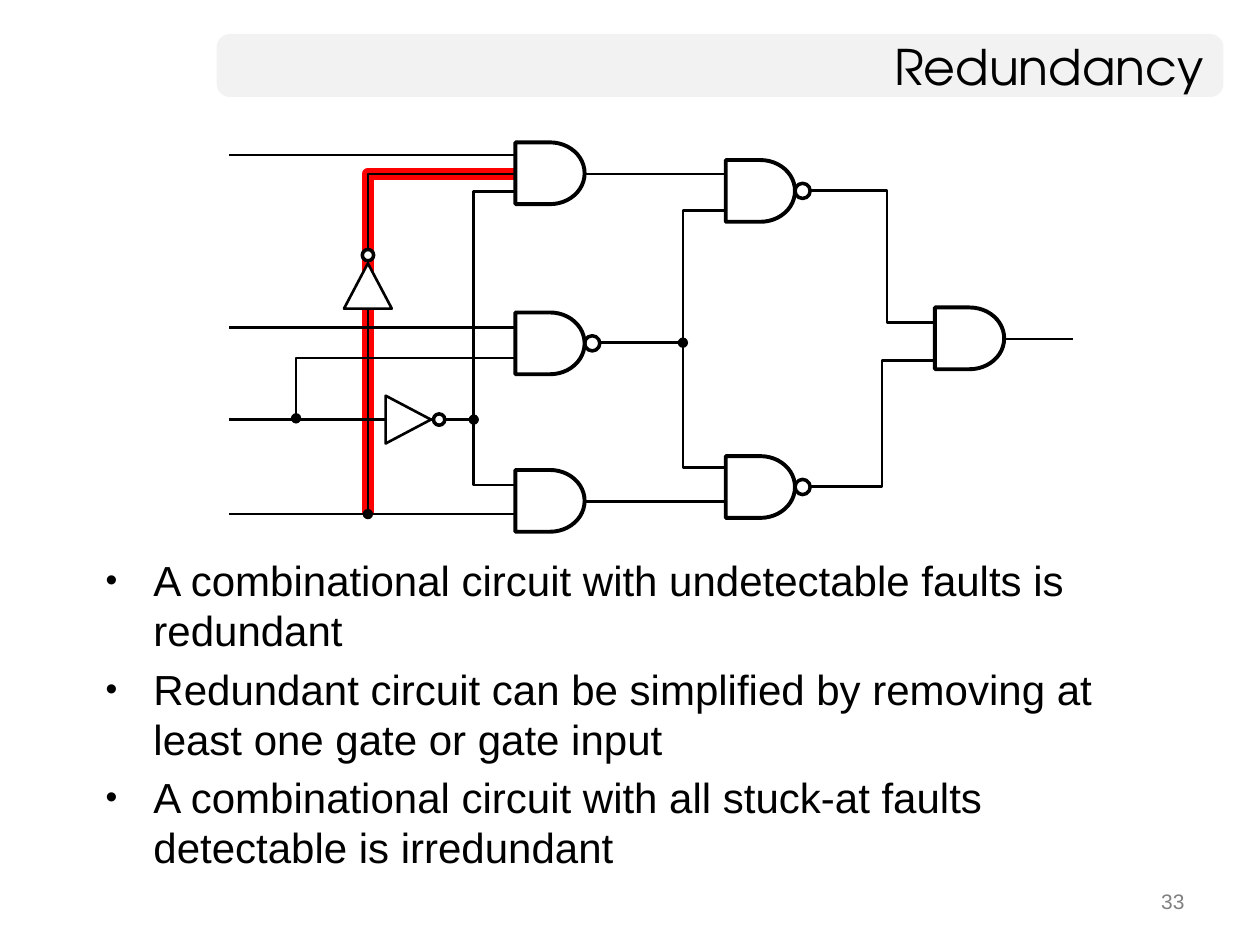
import math

import pptx
import pptx.dml.color
import pptx.enum.shapes
import pptx.enum.text
import pptx.oxml.ns
import pptx.oxml.xmlchemy
import pptx.util

Inches = pptx.util.Inches
Pt = pptx.util.Pt
RGBColor = pptx.dml.color.RGBColor
Shape = pptx.enum.shapes.MSO_SHAPE
Align = pptx.enum.text.PP_ALIGN
Anchor = pptx.enum.text.MSO_ANCHOR

BLACK = RGBColor(0, 0, 0)
WHITE = RGBColor(255, 255, 255)
RED = RGBColor(255, 0, 0)
PALE = RGBColor(0xF2, 0xF2, 0xF2)
GRAY = RGBColor(0x80, 0x80, 0x80)

GATE_W, GATE_H, BUBBLE = 0.55, 0.49, 0.12

POINTS = [
    "A combinational circuit with undetectable faults is redundant",
    "Redundant circuit can be simplified by removing at least one gate or gate input",
    "A combinational circuit with all stuck-at faults detectable is irredundant",
]


def add_node(parent, tag, **attrs):
    node = pptx.oxml.xmlchemy.OxmlElement(tag)
    for name, value in attrs.items():
        node.set(name, value)
    parent.append(node)


def add_text(slide, box, lines, size=24, font="Arial", color=BLACK,
             align=Align.LEFT, anchor=Anchor.TOP, bullet=False, pitch=None, gap=0):
    frame = slide.shapes.add_textbox(*map(Inches, box)).text_frame
    frame.word_wrap = True
    frame.vertical_anchor = anchor
    for i, line in enumerate(lines):
        para = frame.paragraphs[0] if i == 0 else frame.add_paragraph()
        para.alignment = align
        if pitch:
            para.line_spacing = Pt(pitch)
        if i:
            para.space_before = Pt(gap)
        if bullet:
            props = para._p.get_or_add_pPr()
            props.set("marL", str(Inches(0.38)))
            props.set("indent", str(-Inches(0.38)))
            add_node(props, "a:buSzPct", val="80000")
            add_node(props, "a:buFont", typeface="Arial")
            add_node(props, "a:buChar", char="•")
        run = para.add_run()
        run.text = line
        run.font.name = font
        run.font.size = Pt(size)
        run.font.color.rgb = color


def add_part(shapes, kind, box, fill=WHITE, line=2, turn=0):
    part = shapes.add_shape(kind, *map(Inches, box))
    part.shadow.inherit = False
    part.fill.solid()
    part.fill.fore_color.rgb = fill
    part.rotation = turn
    if line:
        part.line.color.rgb = BLACK
        part.line.width = Pt(line)
    else:
        part.line.fill.background()
    return part


def add_bubble(shapes, x, y, size):
    """Draw an inversion bubble centred on x, y."""
    add_part(shapes, Shape.FLOWCHART_CONNECTOR, (x - size / 2, y - size / 2, size, size))


def add_gate(shapes, x, y, negate):
    if negate:
        add_bubble(shapes, x + GATE_W + BUBBLE / 2, y + GATE_H / 2, BUBBLE)
    add_part(shapes, Shape.FLOWCHART_DELAY, (x, y, GATE_W, GATE_H), line=2.25)


def add_invert(shapes, x, y, turn):
    """Draw an inverter centred on x, y; it points up when turn is 0."""
    reach, angle = 0.245, math.radians(turn)
    add_bubble(shapes, x + reach * math.sin(angle), y - reach * math.cos(angle), 0.09)
    add_part(shapes, Shape.ISOSCELES_TRIANGLE, (x - 0.19, y - 0.18, 0.38, 0.36),
             line=1.5, turn=turn)


def add_wire(shapes, points, dot=False, color=BLACK, width=1.5):
    """Draw a wire through the points, with a dot at its end if asked."""
    spots = [(Inches(x), Inches(y)) for x, y in points]
    if len(spots) == 2:
        wire = shapes.add_connector(pptx.enum.shapes.MSO_CONNECTOR.STRAIGHT,
                                    *spots[0], *spots[1])
        add_node(wire._element.spPr, "a:effectLst")
    else:
        path = shapes.build_freeform(*spots[0])
        path.add_line_segments(spots[1:], close=False)
        wire = path.convert_to_shape()
        wire.shadow.inherit = False
        wire.fill.background()
    wire.line.color.rgb = color
    wire.line.width = Pt(width)
    edge = wire._element.spPr.find(pptx.oxml.ns.qn("a:ln"))
    add_node(edge, "a:round")
    if dot:
        add_node(edge, "a:tailEnd", type="oval")


def draw_circuit(slide, left, top):
    shapes = slide.shapes.add_group_shape().shapes

    def shift(points):
        return [(left + x, top + y) for x, y in points]

    fault = [(2.33, 0.28), (1.12, 0.28), (1.12, 2.98)]
    add_wire(shapes, shift(fault), color=RED, width=6.75)
    wires = [
        fault,
        [(2.45, 2.98), (1.01, 2.98)],
        [(2.37, 0.42), (1.96, 0.42), (1.96, 2.75), (2.37, 2.75)],
        [(4.11, 2.88), (2.67, 2.88)],
        [(4.1, 0.57), (3.62, 0.57), (3.62, 2.61), (4.1, 2.61)],
        [(4.15, 0.28), (2.71, 0.28)],
        [(2.47, 1.5), (0.02, 1.5)],
        [(2.58, 0.13), (0.02, 0.13)],
        [(6.03, 1.59), (6.72, 1.59)],
        [(4.28, 2.76), (5.2, 2.76), (5.2, 1.76), (5.76, 1.76)],
        [(4.37, 0.41), (5.24, 0.41), (5.24, 1.46), (5.76, 1.46)],
    ]
    taps = [
        [(2.41, 1.74), (0.55, 1.74), (0.55, 2.22)],
        [(0.02, 2.23), (1.96, 2.23)],
        [(2.5, 1.62), (3.62, 1.62)],
        [(0.02, 2.98), (1.12, 2.98)],
    ]
    for points in wires:
        add_wire(shapes, shift(points))
    for points in taps:
        add_wire(shapes, shift(points), dot=True)

    gates = [
        (2.29, 0.03, False), (2.29, 1.38, True), (2.29, 2.63, False),
        (3.96, 0.17, True), (3.96, 2.52, True), (5.62, 1.34, False),
    ]
    for x, y, negate in gates:
        add_gate(shapes, left + x, top + y, negate)
    for x, y, turn in [(1.44, 2.23, 90), (1.12, 1.17, 0)]:
        add_invert(shapes, left + x, top + y, turn)


def draw_title(slide, left, top, width, height):
    bar = add_part(slide.shapes, Shape.ROUNDED_RECTANGLE,
                   (left, top, width, height), fill=PALE, line=0)
    bar.adjustments[0] = 0.21
    add_text(slide, (left, top, width - 0.06, height), ["Redundancy"], size=28,
             font="TeX Gyre Adventor", align=Align.RIGHT, anchor=Anchor.MIDDLE)


def main():
    deck = pptx.Presentation()
    deck.slide_width, deck.slide_height = Inches(10), Inches(7.5)
    slide = deck.slides.add_slide(deck.slide_layouts[6])
    draw_title(slide, 1.72, 0.27, 7.99, 0.5)
    draw_circuit(slide, 1.8, 1.1)
    add_text(slide, (0.74, 4.36, 8.44, 2.64), POINTS, bullet=True, pitch=28.5, gap=5)
    add_text(slide, (7.17, 7, 2.33, 0.35), ["33"], size=12, color=GRAY,
             align=Align.RIGHT)
    deck.save("out.pptx")


if __name__ == "__main__":
    main()
